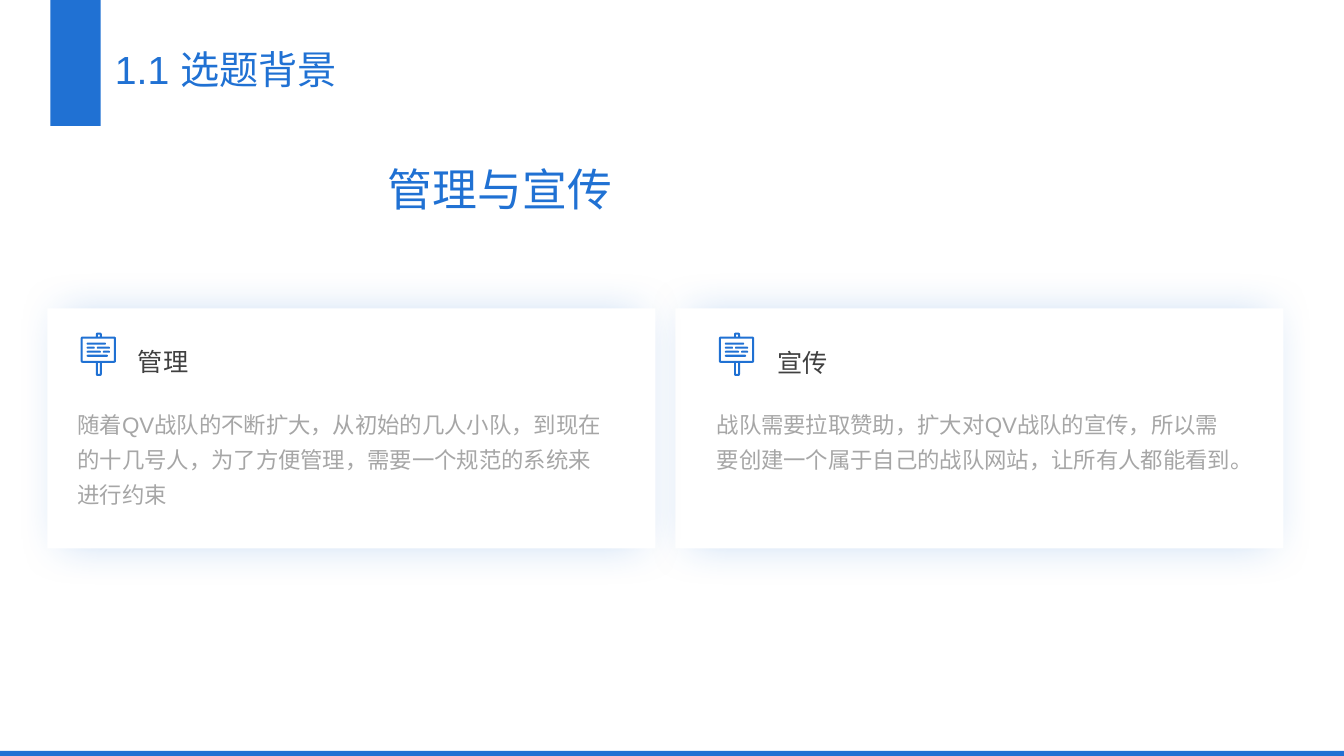
from dataclasses import dataclass

from lxml import etree
from pptx import Presentation
from pptx.dml.color import RGBColor
from pptx.enum.shapes import MSO_SHAPE
from pptx.enum.text import MSO_ANCHOR, MSO_AUTO_SIZE, PP_ALIGN
from pptx.oxml.ns import qn
from pptx.shapes.autoshape import Shape
from pptx.slide import Slide
from pptx.util import Pt

PX = 9144  # EMU per px, 100 px to the inch
SLIDE_W, SLIDE_H = 1333, 750
COLORS = {"blue": "2071D3", "white": "FFFFFF", "dark": "404040", "grey": "A6A6A6"}
FONT = "Arial"
ICON_TOP, CARD_TOP, CARD_W, CARD_H = 330, 306, 603, 238
BODY_TOP, BODY_H, HEADING_H = 395, 125, 54

Box = tuple[int, int, int, int]
Corner = tuple[int, int, int]  # x, y, radius

FRAME_FORMAT = {
    "word_wrap": True,
    "auto_size": MSO_AUTO_SIZE.NONE,
    "margin_left": 10 * PX,
    "margin_right": 10 * PX,
    "margin_top": 5 * PX,
    "margin_bottom": 5 * PX,
}


@dataclass
class TextStyle:
    size: int
    color: str
    spacing: float = 1.3
    anchor: MSO_ANCHOR = MSO_ANCHOR.TOP
    align: PP_ALIGN = PP_ALIGN.LEFT


@dataclass
class Card:
    left: int
    icon_left: int
    heading: str
    heading_box: Box
    heading_spacing: float
    body: str
    body_left: int
    body_width: int


CARDS = [
    Card(670, 713, "宣传", (761, 326, 479, HEADING_H), 1.0,
         "战队需要拉取赞助，扩大对QV战队的宣传，所以需要创建一个属于自己的战队网站，让所有人都能看到。",
         701, 538),
    Card(47, 80, "管理", (127, 324, 486, HEADING_H), 1.3,
         "随着QV战队的不断扩大，从初始的几人小队，到现在的十几号人，为了方便管理，需要一个规范的系统来进行约束",
         67, 546),
]

# Signboard icon: silhouette, cut-outs and text lines, relative to its corner
SIGN_OUTLINE: list[Corner] = [
    (0, 4, 2), (15, 4, 0), (15, 0, 2), (21, 0, 2), (21, 4, 0), (35, 4, 2),
    (35, 30, 2), (21, 30, 0), (21, 43, 2), (15, 43, 2), (15, 30, 0), (0, 30, 2),
]
SIGN_HOLES: list[Box] = [(2, 6, 31, 22), (17, 30, 2, 11), (17, 2, 2, 2)]
SIGN_LINES: list[Box] = [
    (6, 10, 19, 2), (6, 14, 8, 2), (16, 14, 13, 2),
    (6, 18, 14, 2), (22, 18, 7, 2), (6, 22, 21, 2),
]


def rgb(name: str) -> RGBColor:
    return RGBColor.from_string(COLORS[name])


def emu(box: Box) -> list[int]:
    return [value * PX for value in box]


def paint(shape: Shape, color: str) -> None:
    shape.shadow.inherit = False
    shape.fill.solid()
    shape.fill.fore_color.rgb = rgb(color)
    shape.line.fill.background()


def add_block(slide: Slide, box: Box, color: str) -> Shape:
    block = slide.shapes.add_shape(MSO_SHAPE.RECTANGLE, *emu(box))
    paint(block, color)
    return block


def add_glow(shape: Shape) -> None:
    effects = shape.element.spPr.find(qn("a:effectLst"))
    shadow = etree.SubElement(effects, qn("a:outerShdw"), blurRad=str(Pt(32)),
                              dist="0", dir="0", sx="95000", sy="95000",
                              algn="ctr", rotWithShape="0")
    tint = etree.SubElement(shadow, qn("a:srgbClr"), val=COLORS["blue"])
    etree.SubElement(tint, qn("a:alpha"), val="28000")


def write(shape: Shape, text: str, style: TextStyle) -> None:
    frame = shape.text_frame
    for name, value in FRAME_FORMAT.items():
        setattr(frame, name, value)
    frame.vertical_anchor = style.anchor
    frame.text = text
    paragraph = frame.paragraphs[0]
    paragraph.alignment = style.align
    paragraph.line_spacing = style.spacing
    font_format = {"name": FONT, "size": Pt(style.size), "bold": False}
    font = paragraph.runs[0].font
    for name, value in font_format.items():
        setattr(font, name, value)
    font.color.rgb = rgb(style.color)


def add_text(slide: Slide, box: Box, text: str, style: TextStyle) -> None:
    write(slide.shapes.add_textbox(*emu(box)), text, style)


def box_corners(box: Box, radius: int) -> list[Corner]:
    x, y, w, h = box
    return [(x, y, radius), (x + w, y, radius),
            (x + w, y + h, radius), (x, y + h, radius)]


def rounded(corners: list[Corner], steps: int = 4) -> list[tuple[float, float]]:
    """Outline points, each corner with a radius turned into a small curve."""
    points = []
    for i, (x, y, radius) in enumerate(corners):
        if not radius:
            points.append((x, y))
            continue
        ends = []
        for nx, ny, _ in (corners[i - 1], corners[(i + 1) % len(corners)]):
            length = abs(nx - x) + abs(ny - y)
            ends.append((x + (nx - x) * radius / length, y + (ny - y) * radius / length))
        (ax, ay), (bx, by) = ends
        for t in (step / steps for step in range(steps + 1)):
            a, c, b = (1 - t) ** 2, 2 * t * (1 - t), t ** 2
            points.append((a * ax + c * x + b * bx, a * ay + c * y + b * by))
    return points


def add_sign_icon(slide: Slide, left: int, top: int) -> None:
    contours = [rounded(SIGN_OUTLINE)]
    contours += [rounded(box_corners(hole, 0))[::-1] for hole in SIGN_HOLES]
    contours += [rounded(box_corners(line, 1)) for line in SIGN_LINES]
    builder = None
    for contour in contours:
        start, *rest = [((left + x) * PX, (top + y) * PX) for x, y in contour]
        if builder is None:
            builder = slide.shapes.build_freeform(*start)
        else:
            builder.move_to(*start)
        builder.add_line_segments(rest, close=True)
    paint(builder.convert_to_shape(), "blue")


def add_card(slide: Slide, card: Card) -> None:
    add_sign_icon(slide, card.icon_left, ICON_TOP)
    add_text(slide, card.heading_box, card.heading,
             TextStyle(18, "dark", card.heading_spacing, MSO_ANCHOR.BOTTOM))
    add_text(slide, (card.body_left, BODY_TOP, card.body_width, BODY_H), card.body,
             TextStyle(16, "grey"))


def main() -> None:
    prs = Presentation()
    prs.slide_width, prs.slide_height = SLIDE_W * PX, SLIDE_H * PX
    slide = prs.slides.add_slide(prs.slide_layouts[5])

    # Page title with its blue tab, and the footer strip
    title = slide.shapes.title
    title.left, title.top, title.width, title.height = emu((104, 26, 402, 88))
    write(title, "1.1 选题背景", TextStyle(28, "blue"))
    add_block(slide, (0, 745, SLIDE_W, 5), "blue")
    add_block(slide, (50, 0, 50, 125), "blue")

    # Section heading
    add_text(slide, (375, 162, 584, 57), "管理与宣传",
             TextStyle(32, "blue", anchor=MSO_ANCHOR.BOTTOM, align=PP_ALIGN.JUSTIFY))

    # Cards: panels first, so that no glow covers a neighbour's content
    for card in CARDS:
        add_glow(add_block(slide, (card.left, CARD_TOP, CARD_W, CARD_H), "white"))
    for card in CARDS:
        add_card(slide, card)

    prs.save("out.pptx")


if __name__ == "__main__":
    main()
